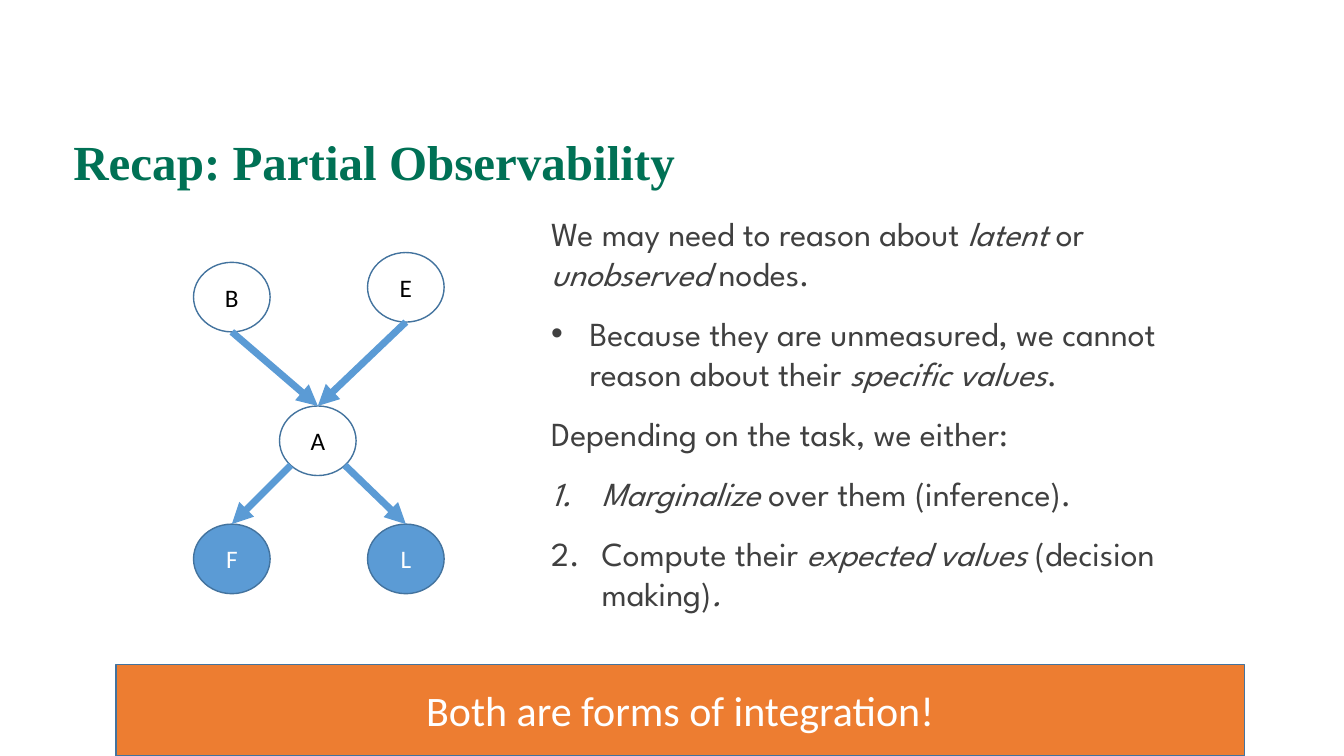
from dataclasses import dataclass
from math import cos, radians, sin

from lxml.etree import SubElement
from pptx import Presentation
from pptx.dml.color import RGBColor
from pptx.enum.shapes import MSO_CONNECTOR, MSO_SHAPE
from pptx.enum.text import MSO_ANCHOR, PP_ALIGN
from pptx.oxml.ns import qn
from pptx.util import Inches, Pt

WIDTH, HEIGHT = Inches(13.333), Inches(7.5)
COLOURS = {
    "title": "007155",
    "body": "404040",
    "node": "5B9BD5",
    "outline": "43739E",
    "banner": "ED7D31",
    "white": "FFFFFF",
    "black": "000000",
}
FORMATS = {
    "title": {"name": "Times New Roman", "size": Pt(35), "bold": True},
    "body": {"name": "League Spartan", "size": Pt(24)},
    "node": {"name": "Calibri", "size": Pt(18)},
    "banner": {"name": "Calibri", "size": Pt(30)},
}


@dataclass(frozen=True)
class Area:
    left: float
    top: float
    width: float
    height: float

    def lengths(self) -> tuple[int, int, int, int]:
        return (share(self.left, WIDTH), share(self.top, HEIGHT),
                share(self.width, WIDTH), share(self.height, HEIGHT))


@dataclass(frozen=True)
class Node:
    label: str
    left: float
    top: float
    observed: bool = False


@dataclass(frozen=True)
class Edge:
    source: str
    target: str
    angle: int


@dataclass(frozen=True)
class Point:
    spans: tuple[str, ...]
    marker: str = ""
    indent: float = 0
    starts_italic: bool = False


TITLE_AREA = Area(4.72, 12.13, 86.25, 19.33)
BODY_AREA = Area(40.28, 27.47, 50.7, 60.4)
BANNER_AREA = Area(8.62, 87.87, 84, 12.13)
NODE_WIDTH, NODE_HEIGHT = 5.7, 9.2
LEFT_COLUMN, RIGHT_COLUMN, OBSERVED_ROW = 14.4, 27.35, 69.33

NODES = (
    Node("B", LEFT_COLUMN, 34.7),
    Node("E", RIGHT_COLUMN, 33.4),
    Node("A", 20.8, 53.7),
    Node("F", LEFT_COLUMN, OBSERVED_ROW, True),
    Node("L", RIGHT_COLUMN, OBSERVED_ROW, True),
)
EDGES = (
    Edge("A", "F", 135),
    Edge("A", "L", 45),
    Edge("E", "A", 90),
    Edge("B", "A", 90),
)
POINTS = (
    Point(("We may need to reason about ", "latent ", "or", " unobserved ", "nodes.")),
    Point(("Because they are unmeasured, we cannot reason about their ",
           "specific values", "."), "bullet", 0.38),
    Point(("Depending on the task, we either:",)),
    Point(("Marginalize ", "over them (inference)."), "number", 0.5, True),
    Point(("Compute their ", "expected values ", "(decision making)", "."), "number", 0.5),
)


def share(percent: float, whole: int) -> int:
    return round(whole * percent / 100)


def colour(name: str) -> RGBColor:
    return RGBColor.from_string(COLOURS[name])


def add_span(para, text: str, style: str, ink: str, italic: bool = False) -> None:
    span = para.add_run()
    span.text = text
    for name, value in {**FORMATS[style], "italic": italic}.items():
        setattr(span.font, name, value)
    span.font.color.rgb = colour(ink)


def add_text_area(page, area: Area):
    box = page.shapes.add_textbox(*area.lengths())
    box.text_frame.word_wrap = True
    return box.text_frame


def add_filled(page, kind, area: Area, fill: str, label: str, style: str, ink: str):
    shape = page.shapes.add_shape(kind, *area.lengths())
    shape.shadow.inherit = False
    if fill:
        shape.fill.solid()
        shape.fill.fore_color.rgb = colour(fill)
    else:
        shape.fill.background()
    shape.line.color.rgb = colour("outline")
    shape.line.width = Pt(1)
    shape.text_frame.vertical_anchor = MSO_ANCHOR.MIDDLE
    para = shape.text_frame.paragraphs[0]
    para.alignment = PP_ALIGN.CENTER
    add_span(para, label, style, ink)
    return shape


def add_edge(page, edge: Edge, circles: dict) -> None:
    source, target = circles[edge.source], circles[edge.target]
    turn = radians(edge.angle)
    start_x = round(source.left + source.width * (1 + cos(turn)) / 2)
    start_y = round(source.top + source.height * (1 + sin(turn)) / 2)
    arrow = page.shapes.add_connector(
        MSO_CONNECTOR.STRAIGHT, start_x, start_y,
        target.left + target.width // 2, target.top)
    arrow.end_connect(target, 0)
    arrow.line.color.rgb = colour("node")
    arrow.line.width = Pt(5)
    SubElement(arrow.line._get_or_add_ln(), qn("a:tailEnd"), type="triangle")
    SubElement(arrow._element.spPr, qn("a:effectLst"))


def add_marker(para, point: Point) -> None:
    properties = para._p.get_or_add_pPr()
    indent = Inches(point.indent)
    properties.set("marL", str(indent))
    properties.set("indent", str(-indent))
    if point.marker == "bullet":
        SubElement(properties, qn("a:buFont"), typeface="Arial")
        SubElement(properties, qn("a:buChar"), char="•")
    else:
        SubElement(properties, qn("a:buAutoNum"), type="arabicPeriod")


def add_body(page) -> None:
    frame = add_text_area(page, BODY_AREA)
    for index, point in enumerate(POINTS):
        para = frame.add_paragraph() if index else frame.paragraphs[0]
        if point.marker:
            add_marker(para, point)
        para.space_before = Pt(10 if index else 0)
        para.space_after = Pt(4)
        for place, text in enumerate(point.spans):
            italic = (place % 2 == 1) != point.starts_italic
            add_span(para, text, "body", "body", italic)


def main() -> None:
    deck = Presentation()
    deck.slide_width, deck.slide_height = WIDTH, HEIGHT
    page = deck.slides.add_slide(deck.slide_layouts[6])

    title = add_text_area(page, TITLE_AREA)
    title.vertical_anchor = MSO_ANCHOR.MIDDLE
    title.paragraphs[0].line_spacing = 0.9
    add_span(title.paragraphs[0], "Recap: Partial Observability", "title", "title")
    add_body(page)

    circles = {}
    for node in NODES:
        area = Area(node.left, node.top, NODE_WIDTH, NODE_HEIGHT)
        fill, ink = ("node", "white") if node.observed else ("", "black")
        circles[node.label] = add_filled(
            page, MSO_SHAPE.OVAL, area, fill, node.label, "node", ink)
    for edge in EDGES:
        add_edge(page, edge, circles)

    add_filled(page, MSO_SHAPE.RECTANGLE, BANNER_AREA, "banner",
               "Both are forms of integration!", "banner", "white")
    deck.save("out.pptx")


if __name__ == "__main__":
    main()
